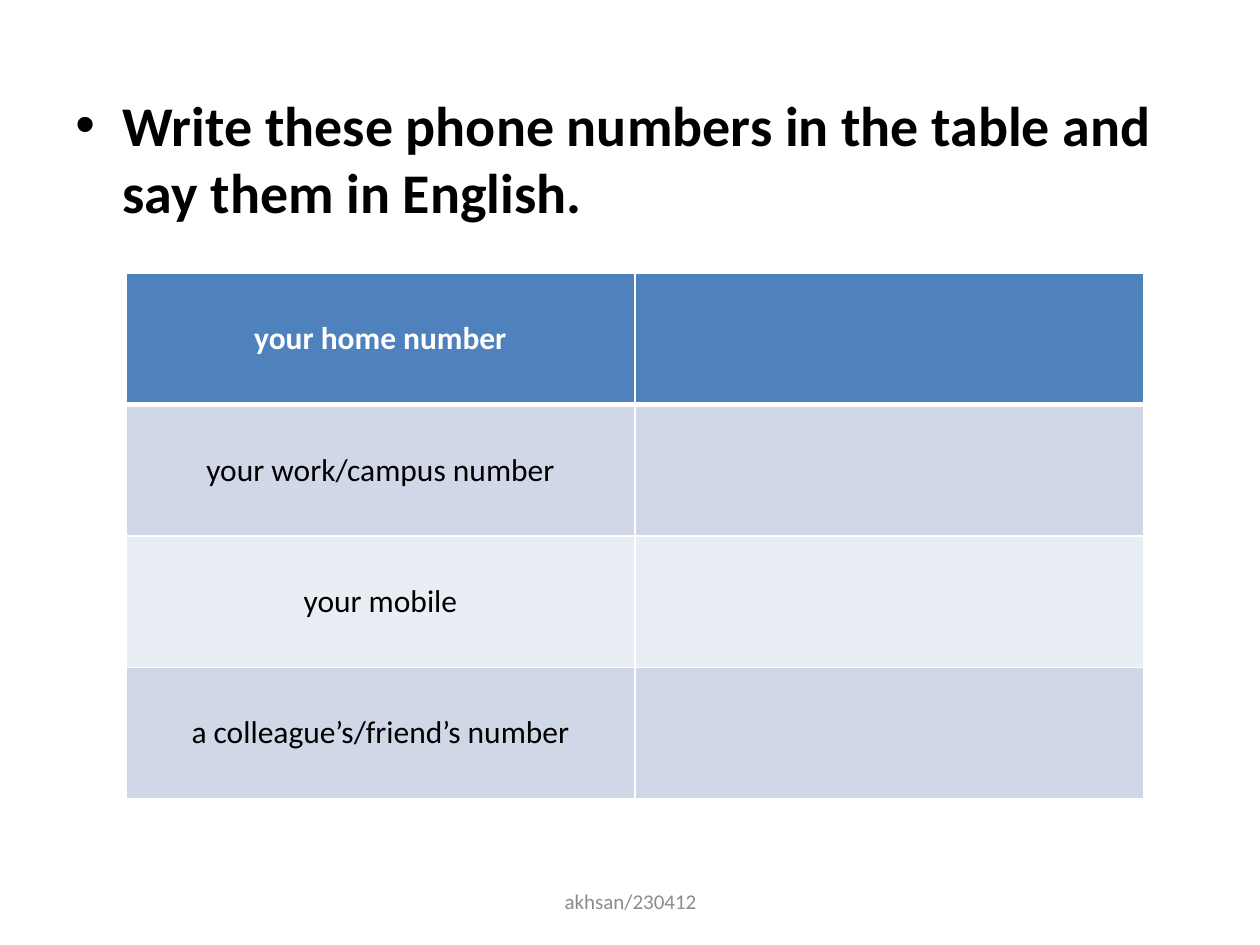
import pptx
import pptx.dml.color
import pptx.enum.text
import pptx.oxml
import pptx.oxml.ns
import pptx.util
from lxml import etree

RGBColor = pptx.dml.color.RGBColor
BLACK = RGBColor(0x00, 0x00, 0x00)
WHITE = RGBColor(0xFF, 0xFF, 0xFF)
GREY = RGBColor(0x8C, 0x8C, 0x8C)
HEADER_BLUE = RGBColor(0x4F, 0x81, 0xBD)
BAND_DARK = RGBColor(0xD0, 0xD8, 0xE8)
BAND_LIGHT = RGBColor(0xE9, 0xED, 0xF4)

FONT = "Calibri"
SLIDE_WIDTH = pptx.util.Inches(10)
SLIDE_HEIGHT = pptx.util.Inches(7.5)
MIDDLE = pptx.enum.text.MSO_ANCHOR.MIDDLE
CENTER = pptx.enum.text.PP_ALIGN.CENTER

PHONE_LABELS = [
    "your home number",
    "your work/campus number",
    "your mobile",
    "a colleague’s/friend’s number",
]


def inches_box(left, top, width, height):
    return [pptx.util.Inches(length) for length in (left, top, width, height)]


def format_text(paragraph, size, color, bold=False):
    for run in paragraph.runs:
        run.font.name = FONT
        run.font.size = pptx.util.Pt(size)
        run.font.bold = bold
        run.font.color.rgb = color


def add_child(parent, tag, **attributes):
    return etree.SubElement(parent, pptx.oxml.ns.qn(tag), **attributes)


def add_text(slide, box, text, size, color, bold=False):
    text_frame = slide.shapes.add_textbox(*box).text_frame
    text_frame.word_wrap = True
    text_frame.text = text
    format_text(text_frame.paragraphs[0], size, color, bold)
    return text_frame


def add_instruction(slide, box):
    text = "Write these phone numbers in the table and say them in English."
    paragraph = add_text(slide, box, text, 32, BLACK, True).paragraphs[0]
    properties = paragraph._p.get_or_add_pPr()
    indent = pptx.util.Inches(0.375)
    properties.set("marL", str(indent))
    properties.set("indent", str(-indent))
    add_child(add_child(properties, "a:spcBef"), "a:spcPct", val="20000")
    add_child(properties, "a:buFont", typeface="Arial")
    add_child(properties, "a:buChar", char="•")


def add_footer(slide, box):
    text_frame = add_text(slide, box, "akhsan/230412", 12, GREY)
    text_frame.vertical_anchor = MIDDLE
    text_frame.paragraphs[0].alignment = CENTER


def add_border(cell, side, points):
    width = str(pptx.util.Pt(points))
    line = add_child(cell._tc.get_or_add_tcPr(), f"a:{side}", w=width)
    add_child(add_child(line, "a:solidFill"), "a:srgbClr", val=str(WHITE))


def style_cell(cell, row_index):
    top = 3 if row_index == 1 else 1
    bottom = 3 if row_index == 0 else 1
    for side, points in (("lnL", 1), ("lnR", 1), ("lnT", top), ("lnB", bottom)):
        add_border(cell, side, points)
    cell.fill.solid()
    if row_index == 0:
        cell.fill.fore_color.rgb = HEADER_BLUE
    else:
        cell.fill.fore_color.rgb = BAND_DARK if row_index % 2 else BAND_LIGHT
    cell.vertical_anchor = MIDDLE


def add_phone_table(slide, box):
    table = slide.shapes.add_table(len(PHONE_LABELS), 2, *box).table
    for row_index, label in enumerate(PHONE_LABELS):
        is_header = row_index == 0
        for cell in table.rows[row_index].cells:
            style_cell(cell, row_index)
        label_cell = table.cell(row_index, 0)
        label_cell.text_frame.text = label
        paragraph = label_cell.text_frame.paragraphs[0]
        paragraph.alignment = CENTER
        format_text(paragraph, 18, WHITE if is_header else BLACK, is_header)


def main():
    presentation = pptx.Presentation()
    presentation.slide_width = SLIDE_WIDTH
    presentation.slide_height = SLIDE_HEIGHT
    slide = presentation.slides.add_slide(presentation.slide_layouts[6])
    add_instruction(slide, inches_box(0.5, 0.67, 9, 6.03))
    add_footer(slide, inches_box(3.42, 6.95, 3.17, 0.4))
    add_phone_table(slide, inches_box(1, 2.17, 8.08, 4.17))
    presentation.save("out.pptx")


if __name__ == "__main__":
    main()
